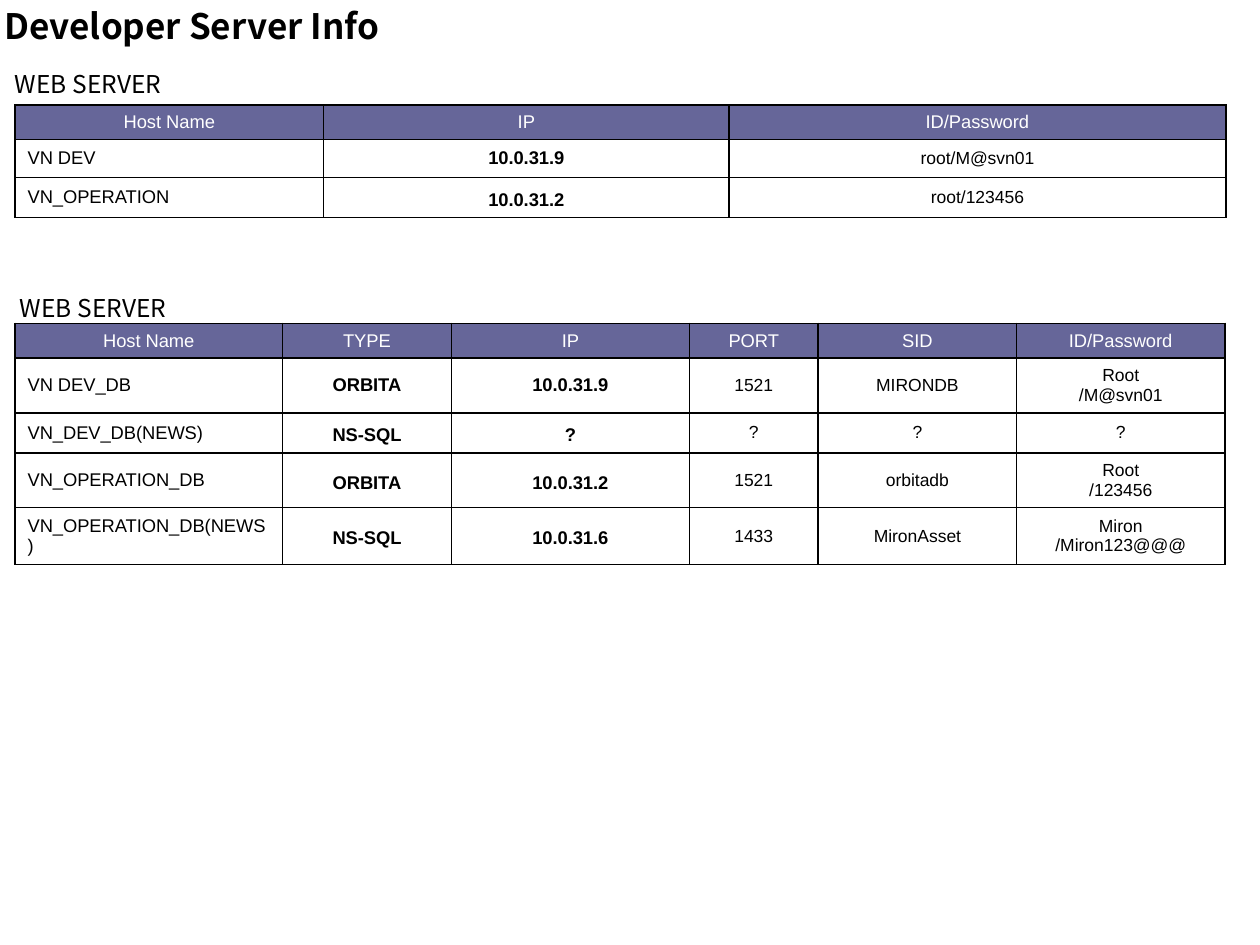
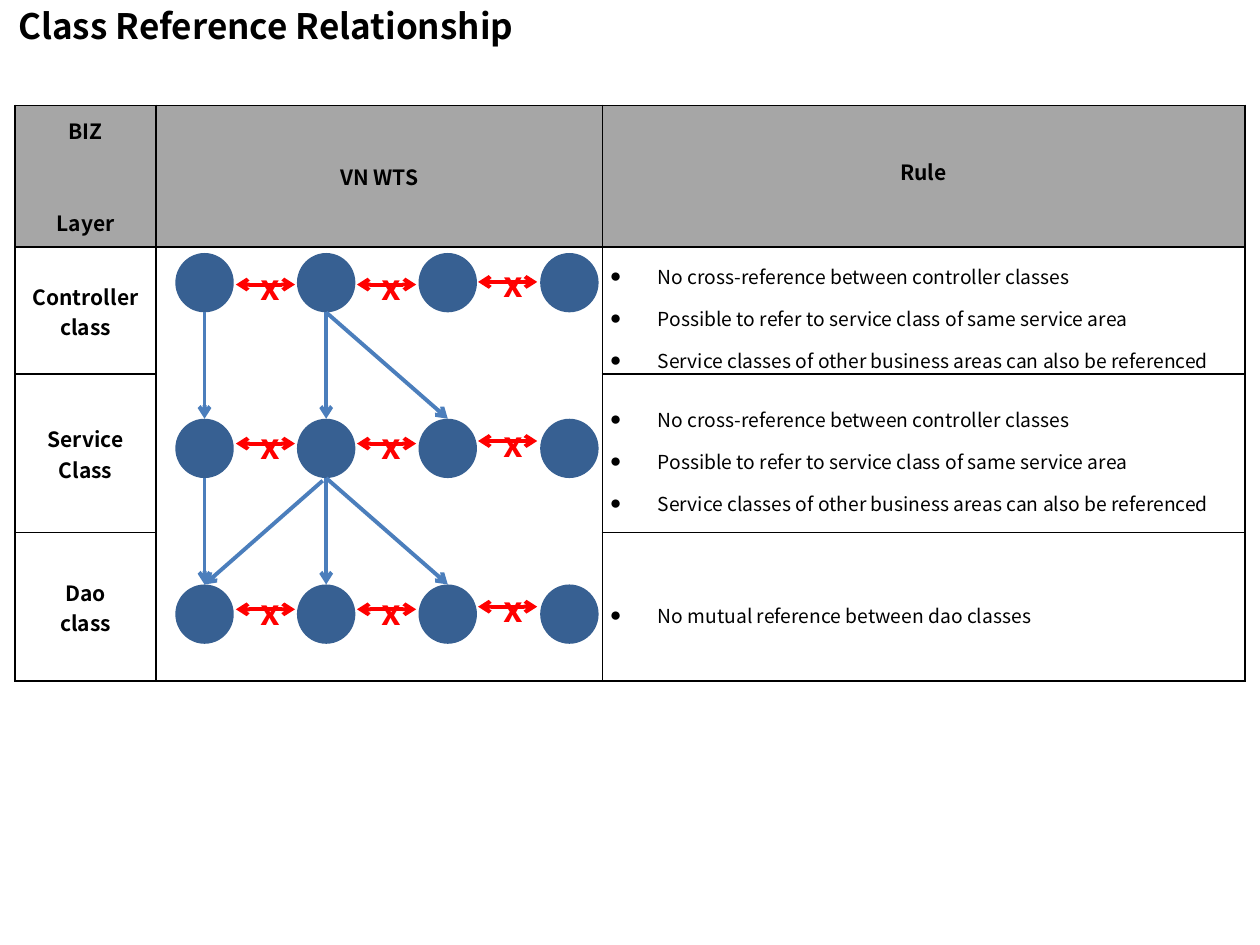
from lxml import etree
from pptx import Presentation
from pptx.dml.color import RGBColor
from pptx.enum.shapes import MSO_CONNECTOR, MSO_SHAPE
from pptx.enum.text import MSO_ANCHOR, PP_ALIGN
from pptx.oxml.ns import qn
from pptx.util import Pt

LEFT, CENTER, JUSTIFY = PP_ALIGN.LEFT, PP_ALIGN.CENTER, PP_ALIGN.JUSTIFY
TOP, MIDDLE = MSO_ANCHOR.TOP, MSO_ANCHOR.MIDDLE
STRAIGHT, OVAL = MSO_CONNECTOR.STRAIGHT, MSO_SHAPE.OVAL

SANS, ARIAL = "Noto Sans CJK KR", "Arial"
BLACK, WHITE, RED = "000000", "FFFFFF", "FF0000"
HEADER_BLUE, HEADER_GRAY = "666699", "A6A6A6"
NODE_BLUE, LINK_BLUE = "376092", "4B7EBC"
HANG = 27.4


def rgb(value):
    return RGBColor.from_string(value)


def sub(parent, tag, **attrs):
    return etree.SubElement(parent, qn(tag), attrs)


def write(tf, lines, size, font=SANS, color=BLACK, bold=False, align=CENTER):
    for i, line in enumerate(lines):
        p = tf.paragraphs[0] if i == 0 else tf.add_paragraph()
        p.alignment = align
        r = p.add_run()
        r.text = line
        r.font.size = Pt(size)
        r.font.name = font
        r.font.bold = bold
        r.font.color.rgb = rgb(color)


def hang(p, spacing):
    p.line_spacing = spacing
    pPr = p._p.get_or_add_pPr()
    pPr.set("marL", str(Pt(HANG)))
    pPr.set("indent", str(Pt(-HANG)))
    return pPr


def add_text(shapes, box, text, size, color=BLACK, bold=False, align=LEFT,
             anchor=MIDDLE, wrap=True):
    tf = shapes.add_textbox(*map(Pt, box)).text_frame
    tf.word_wrap = wrap
    tf.vertical_anchor = anchor
    write(tf, [text], size, color=color, bold=bold, align=align)


def add_title(s, left, width, text):
    add_text(s.shapes, (left, 0.7, width, 28), text, 20, bold=True, align=CENTER)


def add_line(shapes, start, end, color, both=False):
    line = shapes.add_connector(STRAIGHT, *map(Pt, start + end))
    line.line.color.rgb = rgb(color)
    line.line.width = Pt(2.25)
    ln = line.line._get_or_add_ln()
    if both:
        sub(ln, "a:headEnd", type="arrow")
    sub(ln, "a:tailEnd", type="arrow")
    sub(line._element.spPr, "a:effectLst")


def add_borders(cell, sides):
    tcPr = cell._tc.get_or_add_tcPr()
    for side in sides:
        ln = sub(tcPr, "a:ln" + side, w=str(Pt(1)))
        sub(sub(ln, "a:solidFill"), "a:srgbClr", val=BLACK)


def add_grid(s, left, top, widths, heights, header_fill, merge=None):
    frame = s.shapes.add_table(len(heights), len(widths), Pt(left), Pt(top),
                               Pt(sum(widths)), Pt(sum(heights)))
    table = frame.table
    table.first_row = table.horz_banding = False
    for column, width in zip(table.columns, widths):
        column.width = Pt(width)
    for row, height in zip(table.rows, heights):
        row.height = Pt(height)
    if merge:
        first, last = merge
        table.cell(*first).merge(table.cell(*last))
    for i in range(len(heights)):
        for cell in table.rows[i].cells:
            cell.vertical_anchor = MIDDLE
            last_row = i == len(heights) - 1
            add_borders(cell, ("LRB" if last_row else "LR") if cell.is_spanned else "LRTB")
            if i == 0:
                cell.fill.solid()
                cell.fill.fore_color.rgb = rgb(header_fill)
            else:
                cell.fill.background()
    return table


def server_table(s, left, top, widths, heights, headings, records):
    table = add_grid(s, left, top, widths, heights, HEADER_BLUE)
    for j, heading in enumerate(headings):
        write(table.cell(0, j).text_frame, [heading], 10.5, ARIAL, WHITE)
        for i, record in enumerate(records, 1):
            tf = table.cell(i, j).text_frame
            strong = heading in ("TYPE", "IP")
            size = 10.5 if strong or j == 0 else 10
            write(tf, record[j].split("\n"), size, ARIAL, bold=strong,
                  align=CENTER if j else LEFT)
            if strong and i > 1:
                p = tf.paragraphs[0]
                hang(p, 1.25)
                p.space_before = Pt(4)


def set_margins(cell, left, top, right, bottom):
    cell.margin_left, cell.margin_top = Pt(left), Pt(top)
    cell.margin_right, cell.margin_bottom = Pt(right), Pt(bottom)


def rule_table(s, left, top, widths, heights, layers):
    table = add_grid(s, left, top, widths, heights, HEADER_GRAY,
                     merge=((1, 1), (len(layers), 1)))
    margins = ((5.8, 5.8, 5.8, 5.8), (4.3, 0.7, 4.3, 0), (4.3, 0.7, 4.3, 5.8))
    headings = (["BIZ", "Layer"], ["VN WTS"], ["Rule"])
    for j, heading in enumerate(headings):
        cell = table.cell(0, j)
        set_margins(cell, *margins[j])
        write(cell.text_frame, heading, 12, bold=True)
    table.cell(0, 0).text_frame.paragraphs[1].space_before = Pt(35)
    for i, (name, rules) in enumerate(layers, 1):
        name_cell, rule_cell = table.cell(i, 0), table.cell(i, 2)
        for cell in (name_cell, rule_cell):
            set_margins(cell, *margins[1])
        write(name_cell.text_frame, name, 12, bold=True)
        write(rule_cell.text_frame, rules, 11, align=JUSTIFY)
        for p in rule_cell.text_frame.paragraphs:
            pPr = hang(p, 1.5)
            sub(pPr, "a:buFont", typeface=ARIAL)
            sub(pPr, "a:buChar", char="●")


def blocked_link(s, x, y):
    shapes = s.shapes.add_group_shape().shapes
    add_line(shapes, (x, y), (x + 33.8, y), RED, both=True)
    add_text(shapes, (x + 7.2, y - 14.4, 20, 25.2), "x", 20, RED, True,
             anchor=TOP, wrap=False)


def class_diagram(s, left, top):
    width, height, step_x, step_y = 33.4, 33.9, 69.5, 94.7
    columns = [left + step_x * j for j in range(4)]
    rows = [top + step_y * i for i in range(3)]
    for y in rows:
        for x in columns:
            node = s.shapes.add_shape(OVAL, Pt(x), Pt(y), Pt(width), Pt(height))
            node.shadow.inherit = False
            node.fill.solid()
            node.fill.fore_color.rgb = rgb(NODE_BLUE)
            node.line.fill.background()
    centers = [x + width / 2 for x in columns]
    links = ((0, 0, 0), (0, 1, 1), (0, 1, 2),
             (1, 0, 0), (1, 1, 0), (1, 1, 1), (1, 1, 2))
    for row, source, target in links:
        dx, dy = (-2, 1.5) if target < source else (0, 0)
        start = (centers[source] + dx, rows[row] + height + dy)
        add_line(s.shapes, start, (centers[target], rows[row + 1]), LINK_BLUE)
    for y, drop in zip(rows, (18, 14.2, 14.2)):
        for j in range(3):
            blocked_link(s, left + 34.6 + 69.2 * j, y + drop - (1.5 if j == 2 else 0))


def server_slide(prs):
    s = prs.slides.add_slide(prs.slide_layouts[6])
    add_title(s, -8, 235.4, "Developer Server Info")
    server_table(s, 8.6, 60, (176.4, 231.6, 283.9), (18.9, 21.6, 21.4),
                 ("Host Name", "IP", "ID/Password"),
                 (("VN DEV", "10.0.31.9", "root/M@svn01"),
                  ("VN_OPERATION", "10.0.31.2", "root/123456")))
    server_table(s, 8.6, 184.8, (152.9, 96.5, 136, 73.6, 113.4, 119),
                 (19, 29.7, 21.7, 29.7, 30.2),
                 ("Host Name", "TYPE", "IP", "PORT", "SID", "ID/Password"),
                 (("VN DEV_DB", "ORBITA", "10.0.31.9", "1521", "MIRONDB", "Root\n/M@svn01"),
                  ("VN_DEV_DB(NEWS)", "NS-SQL", "?", "?", "?", "?"),
                  ("VN_OPERATION_DB", "ORBITA", "10.0.31.2", "1521", "orbitadb",
                   "Root\n/123456"),
                  ("VN_OPERATION_DB(NEWS)", "NS-SQL", "10.0.31.6", "1433", "MironAsset",
                   "Miron\n/Miron123@@@")))
    for left, top in ((1.4, 33.8), (4.3, 162)):
        add_text(s.shapes, (left, top, 102.2, 28), "WEB SERVER", 14)


def class_slide(prs):
    s = prs.slides.add_slide(prs.slide_layouts[6])
    shared_rules = ["No cross-reference between controller classes",
                    "Possible to refer to service class of same service area",
                    "Service classes of other business areas can also be referenced"]
    rule_table(s, 8.6, 60.2, (80.6, 255, 367.2), (81, 72.6, 90.6, 84.9),
               ((["Controller", "class"], shared_rules),
                (["Service", "Class"], shared_rules),
                (["Dao", "class"], ["No mutual reference between dao classes"])))
    class_diagram(s, 100.2, 144.6)
    add_title(s, -1.4, 306.7, "Class Reference Relationship")


prs = Presentation()
prs.slide_width, prs.slide_height = Pt(720), Pt(540)
server_slide(prs)
class_slide(prs)
prs.save("out.pptx")
